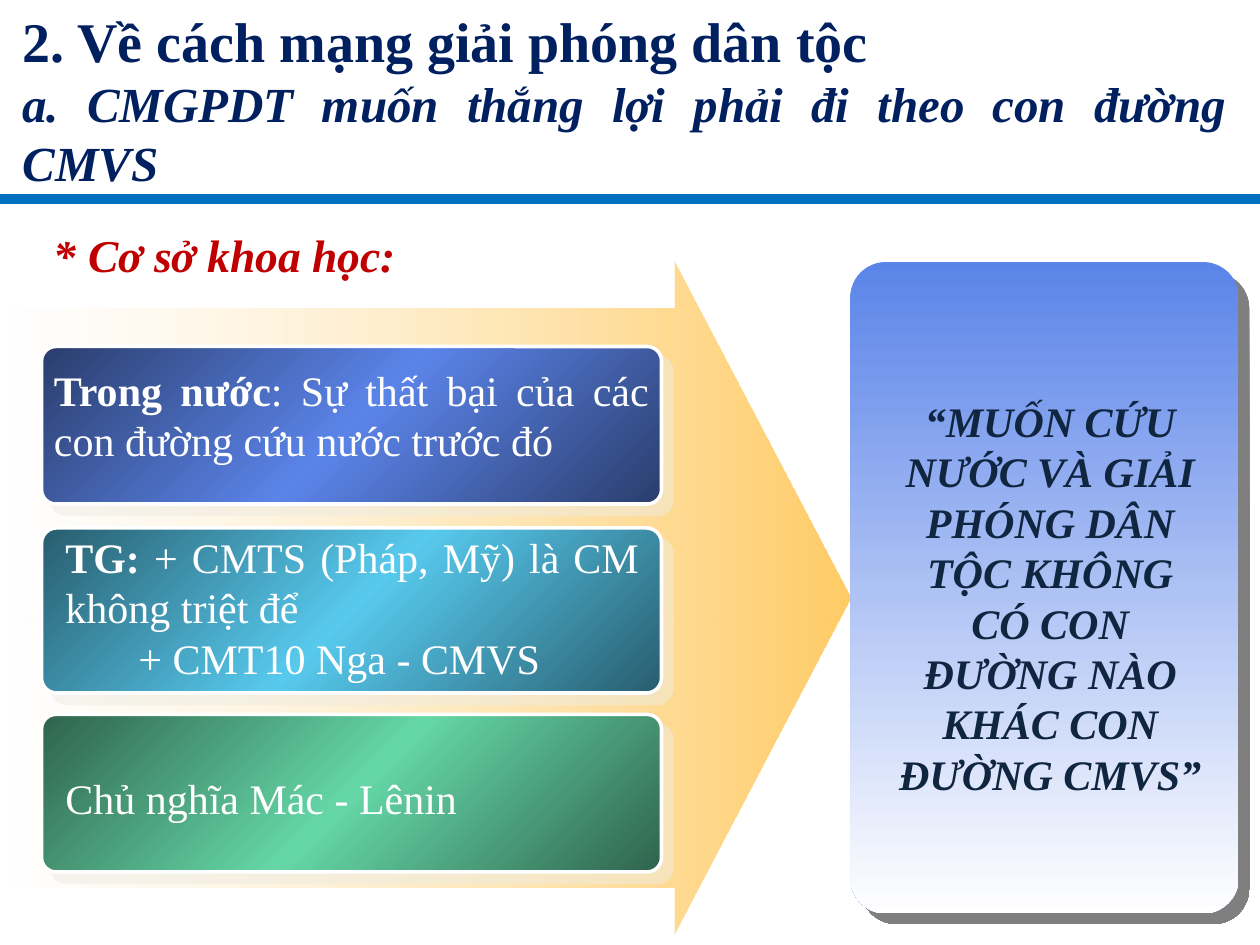
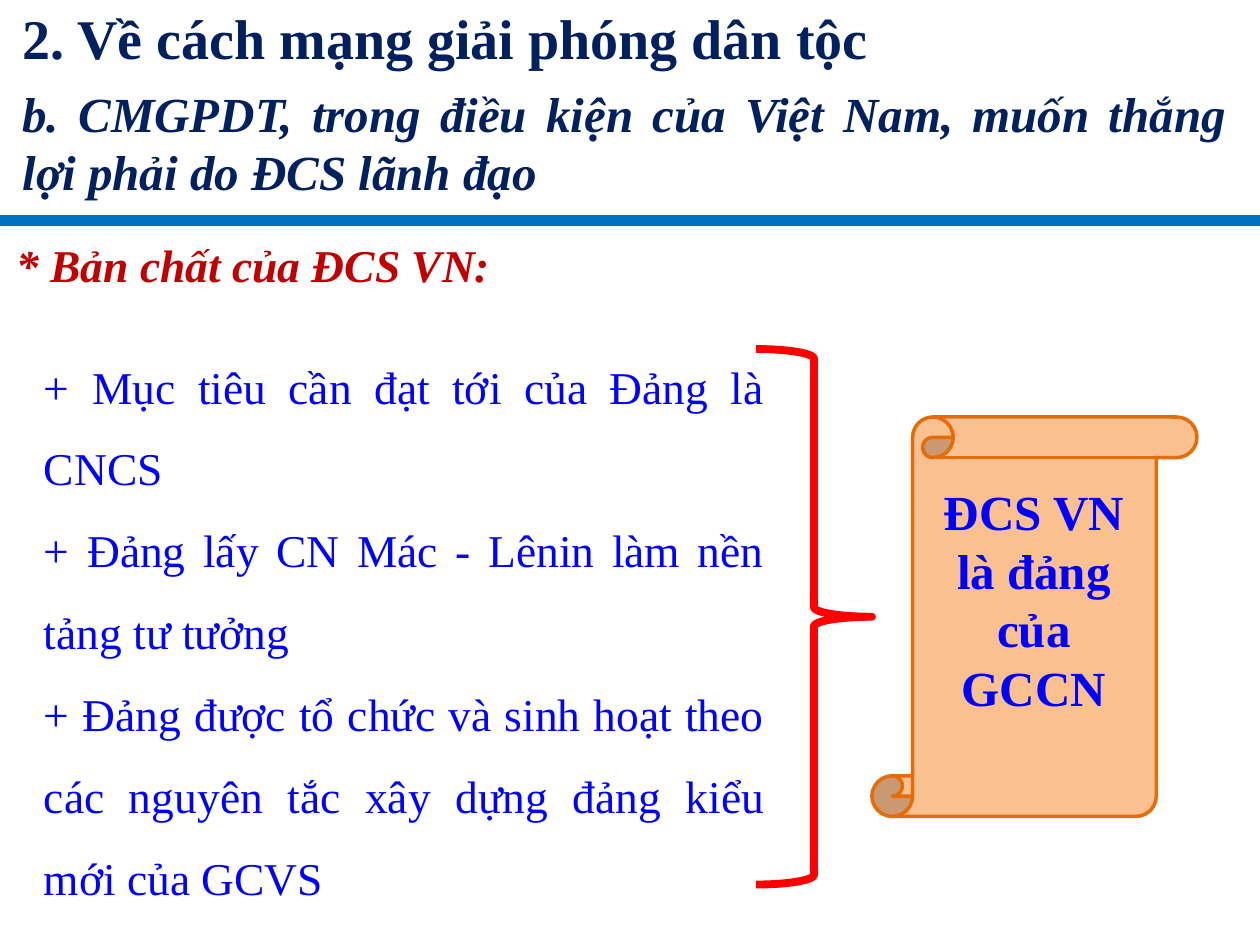
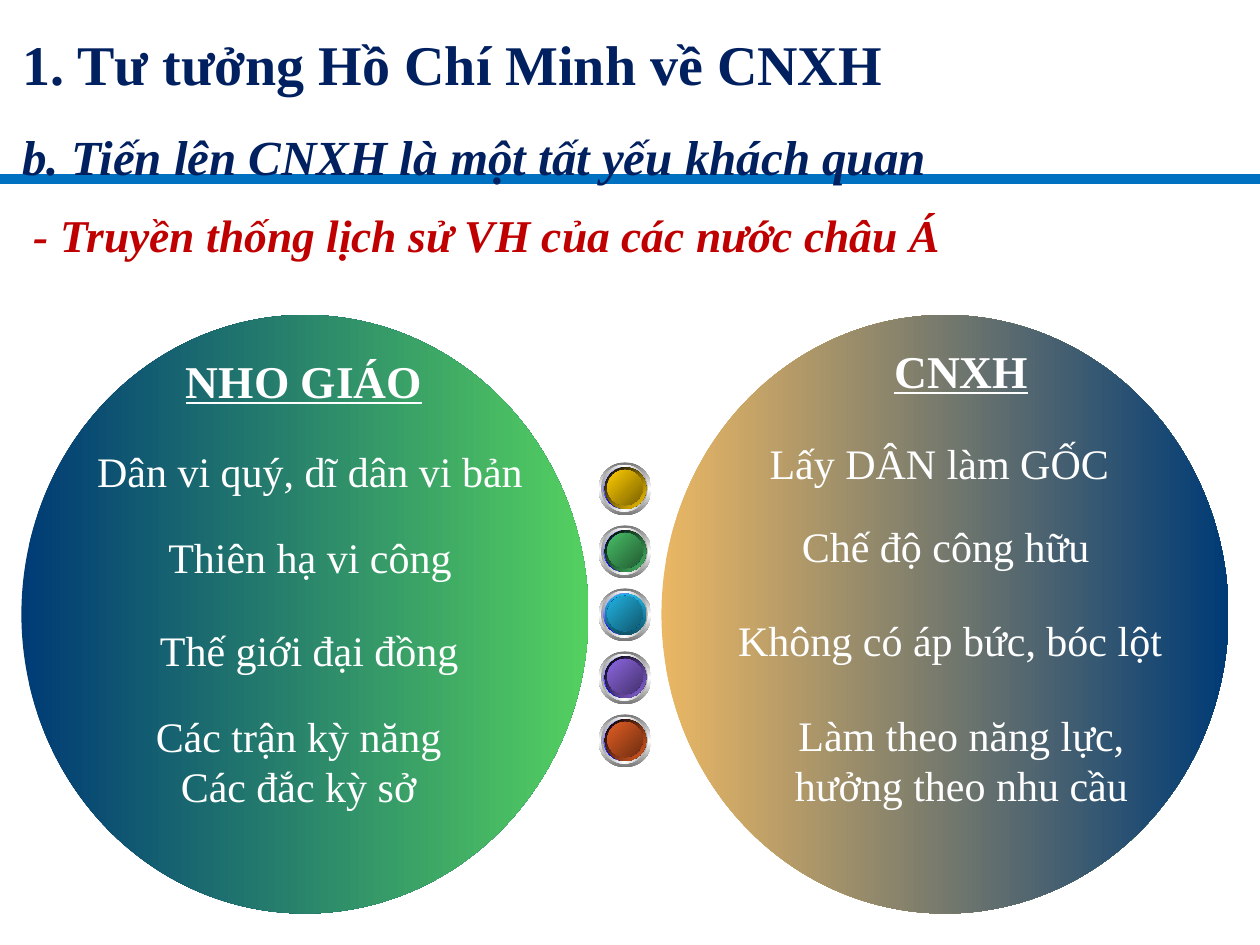
from pptx import Presentation
from pptx.dml.color import RGBColor
from pptx.enum.shapes import MSO_CONNECTOR, MSO_SHAPE
from pptx.enum.text import MSO_AUTO_SIZE, PP_ALIGN
from pptx.oxml.ns import qn
from pptx.util import Inches, Pt
from lxml.etree import SubElement

FONT = "Times New Roman"
NAVY, RULE_BLUE, HEADING_RED = "002060", "0070C0", "C00000"
WHITE, TEXT_BLUE, QUOTE_NAVY = "FFFFFF", "0000FF", "10253F"
CARD_SHADOW, PANEL_SHADOW = "EEECE1", "000000"


def rgb(color):
    return RGBColor.from_string(color)


def add_color(parent, color, opacity=100):
    element = SubElement(parent, qn("a:srgbClr"), val=color)
    if opacity < 100:
        SubElement(element, qn("a:alpha"), val=str(opacity * 1000))


def mirrored(edge, middle):
    return [(edge, 100), (middle, 100), (edge, 100)]


def blend(start, end, start_opacity=100):
    return [(start, start_opacity), (end, 100)]


class Deck:
    """Holds the shared style and the slide being drawn."""

    def __init__(self):
        self.presentation = Presentation()
        self.presentation.slide_width = Inches(10)
        self.presentation.slide_height = Inches(7.5)
        self.slide = None

    def new_slide(self, title, subtitle, rule_top, title_top, title_height,
                  line_spacing=None, subtitle_gap=None):
        self.slide = self.presentation.slides.add_slide(self.presentation.slide_layouts[6])
        self.rule(rule_top)
        frame = self.text((0.08, title_top, 9.75, title_height),
                          [title, [(subtitle, {"size": 28, "italic": True})]],
                          size=32, color=NAVY, bold=True,
                          align=PP_ALIGN.JUSTIFY, line_spacing=line_spacing)
        if subtitle_gap:
            frame.paragraphs[1].space_before = Pt(subtitle_gap)

    def rule(self, top):
        line = self.slide.shapes.add_connector(
            MSO_CONNECTOR.STRAIGHT, Inches(0), Inches(top), Inches(10), Inches(top))
        line.line.color.rgb = rgb(RULE_BLUE)
        line.line.width = Pt(6)
        SubElement(line.element.spPr, qn("a:effectLst"))

    def heading(self, box, text):
        self.text(box, [text], size=26, color=HEADING_RED, bold=True, italic=True)

    def text(self, box, paragraphs, size=24, color=WHITE, bold=False, italic=False,
             underline=False, align=PP_ALIGN.LEFT, line_spacing=None):
        """Each paragraph is a string or a list of (text, style changes) runs."""
        text_box = self.slide.shapes.add_textbox(*map(Inches, box))
        frame = text_box.text_frame
        frame.word_wrap = True
        frame.auto_size = MSO_AUTO_SIZE.SHAPE_TO_FIT_TEXT
        base = {"size": size, "bold": bold, "italic": italic, "underline": underline}
        for index, runs in enumerate(paragraphs):
            paragraph = frame.add_paragraph() if index else frame.paragraphs[0]
            paragraph.alignment = align
            if line_spacing:
                paragraph.line_spacing = line_spacing
            for content, changes in [(runs, {})] if isinstance(runs, str) else runs:
                style = {**base, **changes}
                run = paragraph.add_run()
                run.text = content
                run.font.name = FONT
                run.font.size = Pt(style["size"])
                run.font.bold = style["bold"]
                run.font.italic = style["italic"]
                run.font.underline = style["underline"]
                run.font.color.rgb = rgb(color)
        return frame

    def shape(self, kind, box, fill=None, gradient=None, angle=0, line=None,
              line_width=2, adjustments=(), shadow=None, parent=None):
        shape = (parent or self.slide).shapes.add_shape(kind, *map(Inches, box))
        for index, value in enumerate(adjustments):
            shape.adjustments[index] = value
        if gradient:
            self.apply_gradient(shape, gradient, angle)
        elif fill:
            shape.fill.solid()
            shape.fill.fore_color.rgb = rgb(fill)
        else:
            shape.fill.background()
        if line:
            shape.line.color.rgb = rgb(line)
            shape.line.width = Pt(line_width)
        else:
            shape.line.fill.background()
        shape.shadow.inherit = False
        if shadow:
            effects = shape.element.spPr.find(qn("a:effectLst"))
            outer = SubElement(effects, qn("a:outerShdw"), dist=str(Pt(8.5)),
                               dir=str(45 * 60000), algn="ctr", rotWithShape="0")
            add_color(outer, shadow, 50)
        return shape

    def apply_gradient(self, shape, colors, angle):
        """Spread (color, opacity) stops evenly along a clockwise angle."""
        shape.fill.gradient()
        gradient = shape.element.spPr.find(qn("a:gradFill"))
        stops = gradient.find(qn("a:gsLst"))
        for stop in list(stops):
            stops.remove(stop)
        for index, (color, opacity) in enumerate(colors):
            position = 100000 * index // (len(colors) - 1)
            add_color(SubElement(stops, qn("a:gs"), pos=str(position)), color, opacity)
        gradient.find(qn("a:lin")).set("ang", str(angle * 60000))

    def button(self, left, top, color, dark, ring, ring_angle):
        """Stack bevelled discs, each given as inset x, inset y, diameter."""
        group = self.slide.shapes.add_group_shape()
        discs = [
            (0, 0, 0.42, mirrored("767676", WHITE), 90),
            (0.02, 0.02, 0.37, mirrored("A2A2A2", WHITE), 0),
            (0.04, 0.04, 0.33, mirrored(WHITE, "0000FF"), 45),
            (0.05, 0.04, 0.33, ring, ring_angle),
            (0.07, 0.06, 0.28, mirrored("00008A", "0000FF"), 315),
            (0.07, 0.06, 0.28, blend(color, dark), 45),
        ]
        for inset_x, inset_y, size, gradient, angle in discs:
            self.shape(MSO_SHAPE.OVAL, (left + inset_x, top + inset_y, size, size),
                       gradient=gradient, angle=angle, parent=group)


def scientific_basis(deck):
    deck.new_slide("2. Về cách mạng giải phóng dân tộc",
                   "a. CMGPDT muốn thắng lợi phải đi theo con đường CMVS",
                   rule_top=1.58, title_top=0, title_height=1.57)
    deck.shape(MSO_SHAPE.RIGHT_ARROW, (0.08, 2.08, 6.67, 5.33),
               gradient=blend(WHITE, "FFCC66", start_opacity=52), adjustments=(0.861, 0.263))
    cards = [
        (2.75, 1.25, "2A3D6C", "5B84E9"),
        (4.19, 1.31, "285D6E", "57C9ED"),
        (5.67, 1.25, "2F634D", "65D7A6"),
    ]
    for top, height, edge, middle in cards:
        deck.shape(MSO_SHAPE.ROUNDED_RECTANGLE, (0.33, top, 4.92, height),
                   gradient=mirrored(edge, middle), angle=45, line=WHITE,
                   adjustments=(0.091,), shadow=CARD_SHADOW)
    deck.shape(MSO_SHAPE.ROUNDED_RECTANGLE, (6.75, 2.08, 3.08, 5.17),
               gradient=blend("5B84E9", WHITE), angle=90,
               adjustments=(0.091,), shadow=PANEL_SHADOW)

    strong = {"bold": True}
    deck.text((0.33, 2.84, 4.92, 0.9),
              [[("Trong nước", strong),
                (": Sự thất bại của các con đường cứu nước trước đó", {})]],
              align=PP_ALIGN.JUSTIFY)
    world = deck.text((0.42, 4.17, 4.75, 1.3),
                      [[("TG: ", strong), ("+ CMTS (Pháp, Mỹ) là CM không triệt để", {})],
                       "+ CMT10 Nga - CMVS"],
                      align=PP_ALIGN.JUSTIFY)
    properties = world.paragraphs[1]._p.get_or_add_pPr()
    properties.set("marL", "0")
    properties.set("indent", str(Inches(0.58)))
    deck.text((0.42, 6.08, 4.54, 0.5), ["Chủ nghĩa Mác - Lênin"])
    deck.text((7, 3.09, 2.67, 3.3),
              ["“MUỐN CỨU NƯỚC VÀ GIẢI PHÓNG DÂN TỘC KHÔNG CÓ CON ĐƯỜNG NÀO "
               "KHÁC CON ĐƯỜNG CMVS”"],
              color=QUOTE_NAVY, bold=True, italic=True, align=PP_ALIGN.CENTER)
    deck.heading((0.33, 1.75, 4.17, 0.54), "* Cơ sở khoa học:")


def party_nature(deck):
    deck.new_slide("2. Về cách mạng giải phóng dân tộc",
                   "b. CMGPDT, trong điều kiện của Việt Nam, muốn thắng lợi phải do ĐCS lãnh đạo",
                   rule_top=1.75, title_top=-0.02, title_height=1.67, subtitle_gap=7)
    deck.heading((0.03, 1.83, 9.8, 0.54), "* Bản chất của ĐCS VN:")
    deck.text((0.25, 2.58, 5.92, 4.65),
              ["+ Mục tiêu cần đạt tới của Đảng là CNCS",
               "+ Đảng lấy CN Mác - Lênin làm nền tảng tư tưởng",
               "+ Đảng được tổ chức và sinh hoạt theo các nguyên tắc xây dựng đảng "
               "kiểu mới của GCVS"],
              size=26, color=TEXT_BLUE, align=PP_ALIGN.JUSTIFY, line_spacing=1.5)
    deck.shape(MSO_SHAPE.RIGHT_BRACE, (6, 2.77, 0.92, 4.25), line="FF0000",
               line_width=4.5, adjustments=(0.083, 0.5))
    deck.shape(MSO_SHAPE.VERTICAL_SCROLL, (6.92, 3.31, 2.58, 3.17),
               fill="FAC090", line="E46C0A", adjustments=(0.125,))
    deck.text((7.33, 3.77, 1.75, 1.97), ["ĐCS VN là đảng của GCCN"],
              size=28, color=TEXT_BLUE, bold=True, align=PP_ALIGN.CENTER)


def asian_tradition(deck):
    deck.new_slide("1. Tư tưởng Hồ Chí Minh về CNXH",
                   "b. Tiến lên CNXH là một tất yếu khách quan",
                   rule_top=1.42, title_top=-0.08, title_height=1.6, line_spacing=1.5)
    deck.heading((0.17, 1.59, 8.67, 0.54), "- Truyền thống lịch sử VH của các nước châu Á")
    for left, start, end in [(5.25, "EAB764", "003B76"), (0.17, "003B76", "54D060")]:
        deck.shape(MSO_SHAPE.OVAL, (left, 2.5, 4.5, 4.75), gradient=blend(start, end))

    buttons = [
        ("FFCC00", "7C6300", "000000", "FFCC00", 45),
        ("48BE67", "235C32", "000000", "48BE67", 45),
        ("21B3E1", "10576D", "21B3E1", "0F5368", 90),
        ("8D67E1", "45326D", "000000", "8D67E1", 45),
        ("E35E23", "6E2E11", "000000", "E35E23", 45),
    ]
    for index, (color, dark, ring_start, ring_end, ring_angle) in enumerate(buttons):
        deck.button(4.75, 3.67 + 0.5 * index, color, dark,
                    blend(ring_start, ring_end), ring_angle)

    for box, name in [((1.25, 2.75, 2.33, 0.54), "NHO GIÁO"),
                      ((6.67, 2.67, 1.92, 0.54), "CNXH")]:
        deck.text(box, [name], size=26, bold=True, underline=True, align=PP_ALIGN.CENTER)
    ideas = [
        ((0.67, 3.49, 3.58, 0.5), ["Dân vi quý, dĩ dân vi bản"]),
        ((0.67, 4.17, 3.58, 0.5), ["Thiên hạ vi công"]),
        ((0.83, 4.91, 3.25, 0.5), ["Thế giới đại đồng"]),
        ((1.08, 5.59, 2.58, 0.9), ["Các trận kỳ năng", "Các đắc kỳ sở"]),
        ((5.83, 3.42, 3.25, 0.5), ["Lấy DÂN làm GỐC"]),
        ((6.17, 4.08, 2.67, 0.5), ["Chế độ công hữu"]),
        ((5.75, 4.83, 3.58, 0.5), ["Không có áp bức, bóc lột"]),
        ((6.17, 5.58, 2.92, 0.9), ["Làm theo năng lực, hưởng theo nhu cầu"]),
    ]
    for box, lines in ideas:
        deck.text(box, lines, align=PP_ALIGN.CENTER)


def main():
    deck = Deck()
    scientific_basis(deck)
    party_nature(deck)
    asian_tradition(deck)
    deck.presentation.save("out.pptx")


if __name__ == "__main__":
    main()
